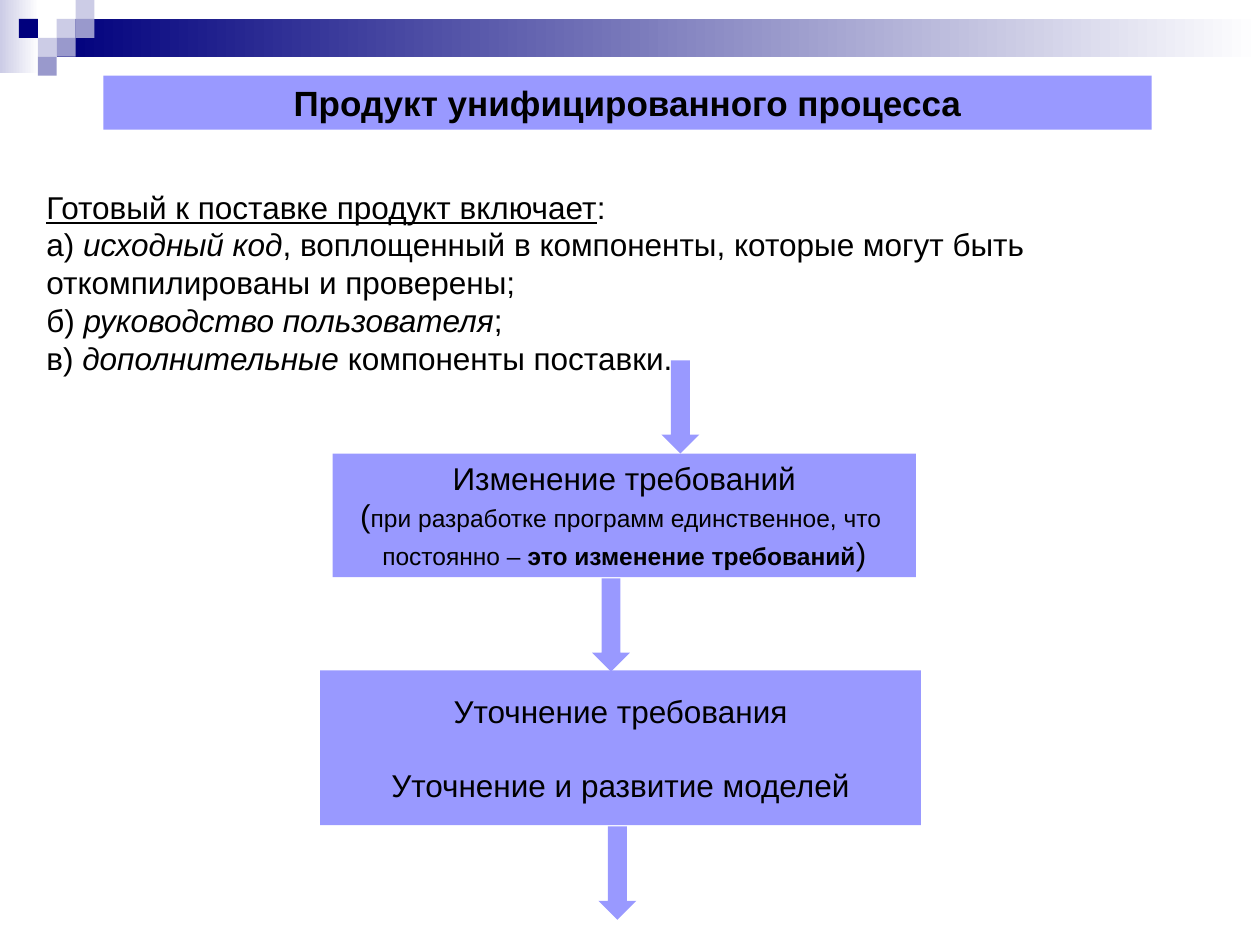
from pptx import Presentation
from pptx.dml.color import RGBColor
from pptx.enum.shapes import MSO_SHAPE
from pptx.enum.text import MSO_ANCHOR, PP_ALIGN
from pptx.util import Inches, Pt

RECT, ARROW = MSO_SHAPE.RECTANGLE, MSO_SHAPE.DOWN_ARROW
TOP, MIDDLE = MSO_ANCHOR.TOP, MSO_ANCHOR.MIDDLE
LEFT, CENTER = PP_ALIGN.LEFT, PP_ALIGN.CENTER

COLORS = {
    "white": "FFFFFF",
    "black": "000000",
    "navy": "00007D",
    "pale": "CCCCE6",
    "mid": "9999CC",
    "box": "9999FF",
}


def color(name):
    return RGBColor.from_string(COLORS[name])


class Deck:
    """Holds the text style and the current slide."""

    font = "Arial"
    size = 18

    def __init__(self, slide):
        self.slide = slide

    def shape(self, place, fill="box", kind=RECT):
        item = self.slide.shapes.add_shape(kind, *map(Inches, place))
        item.shadow.inherit = False
        item.line.fill.background()
        item.fill.solid()
        item.fill.fore_color.rgb = color(fill)
        return item

    def fade(self, place, start):
        """Rectangle that fades to white on its right."""
        fill = self.shape(place).fill
        fill.gradient()
        fill.gradient_angle = 0
        for stop, name in zip(fill.gradient_stops, (start, "white")):
            stop.color.rgb = color(name)

    def label(self, item, lines, align=CENTER, anchor=MIDDLE, gap=0):
        """Each line is a list of (text, style); style may hold b, i, u or a size."""
        frame = item.text_frame
        frame.word_wrap = True
        frame.vertical_anchor = anchor
        for n, line in enumerate(lines):
            par = frame.add_paragraph() if n else frame.paragraphs[0]
            par.alignment = align
            if n and gap:
                par.space_before = Pt(gap)
            for text, style in line:
                run = par.add_run()
                run.text = text
                font = run.font
                font.name = self.font
                font.size = Pt(style.get("size", self.size))
                font.color.rgb = color("black")
                font.bold = style.get("b", False)
                font.italic = style.get("i", False)
                font.underline = style.get("u", False)

    def box(self, place, lines, **layout):
        self.label(self.shape(place), lines, **layout)

    def text(self, place, lines):
        item = self.slide.shapes.add_textbox(*map(Inches, place))
        self.label(item, lines, LEFT, TOP)

    def arrow(self, left, top):
        self.shape((left, top, 0.3, 0.74), kind=ARROW)


def main():
    prs = Presentation()
    prs.slide_width, prs.slide_height = Inches(10), Inches(7.5)
    deck = Deck(prs.slides.add_slide(prs.slide_layouts[6]))
    plain, bold, italic, under = {}, {"b": True}, {"i": True}, {"u": True}
    small = {"size": 14}

    # Header band and mosaic of squares
    deck.fade((0, 0, 0.31, 0.58), "pale")
    deck.fade((0.45, 0.15, 9.55, 0.3), "navy")
    unit = 0.15
    squares = [(3, 1, "pale"), (4, 0, "pale"), (4, 1, "mid"), (2, 2, "pale"),
               (1, 1, "navy"), (3, 2, "mid"), (2, 3, "mid")]
    for col, row, fill in squares:
        deck.shape((col * unit, row * unit, unit, unit), fill)

    # Title
    deck.box((0.82, 0.6, 8.32, 0.43),
             [[("Продукт унифицированного процесса", {"b": True, "size": 20})]],
             anchor=TOP)

    # What the product includes
    deck.text((0.27, 1.44, 9.4, 1.6), [
        [("Готовый к поставке продукт включает", under), (":", plain)],
        [("а) ", plain), ("исходный код", italic),
         (", воплощенный в компоненты, которые могут быть "
          "откомпилированы и проверены;", plain)],
        [("б) ", plain), ("руководство пользователя", italic), (";", plain)],
        [("в) ", plain), ("дополнительные", italic),
         (" компоненты поставки.", plain)],
    ])

    # Flow of changes
    deck.box((2.64, 3.6, 4.63, 0.98), [
        [("Изменение требований", plain)],
        [("(", plain), ("при разработке программ единственное, что ", small)],
        [("постоянно –", small),
         (" это изменение требований", {**small, **bold}), (")", plain)],
    ])
    deck.box((2.54, 5.32, 4.77, 1.23), [
        [("Уточнение требования", plain)],
        [("Уточнение и развитие моделей", plain)],
    ], gap=21)
    for left, top in [(5.25, 2.86), (4.7, 4.59), (4.75, 6.56)]:
        deck.arrow(left, top)

    prs.save("out.pptx")


if __name__ == "__main__":
    main()
